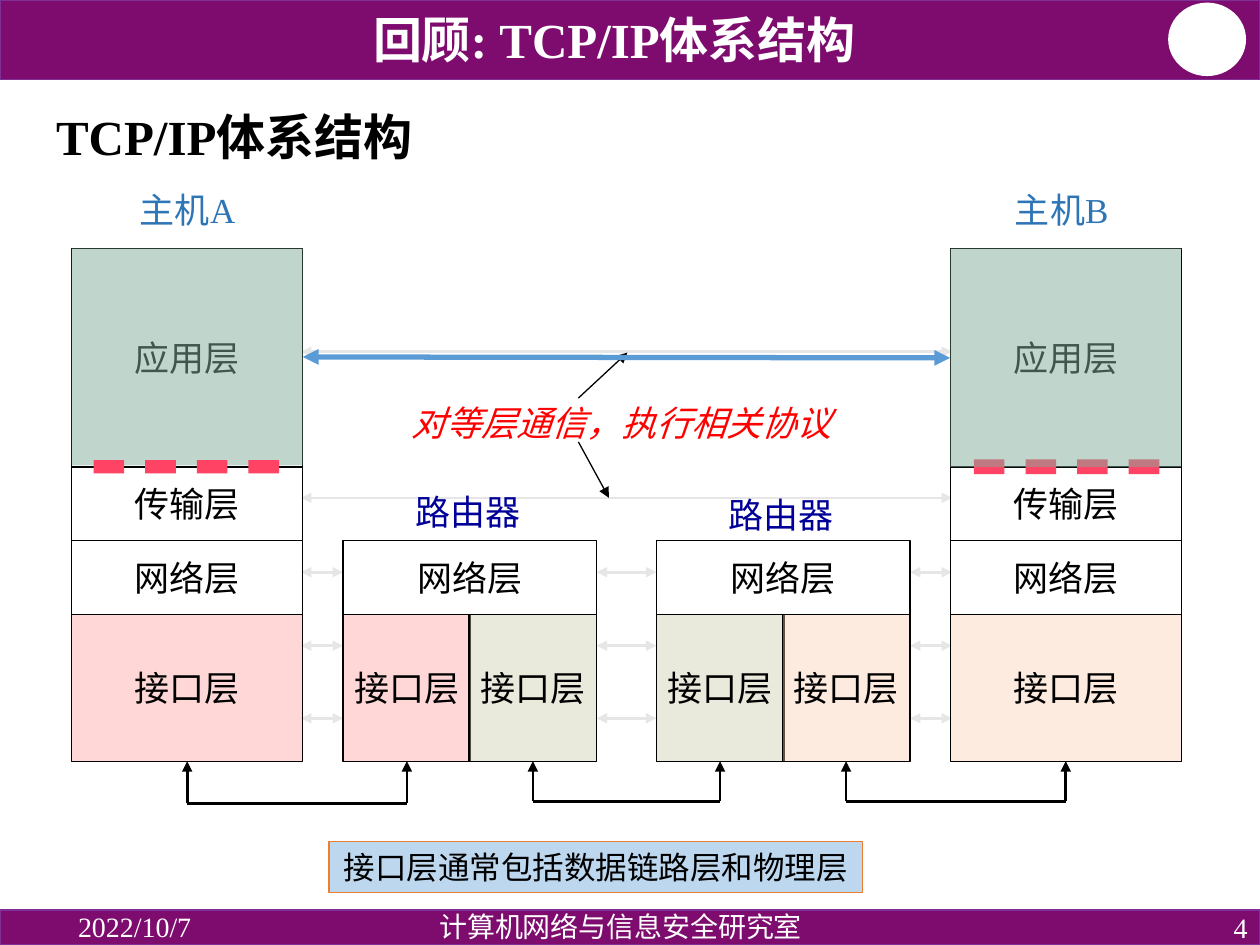
from dataclasses import dataclass
from typing import Any

from lxml import etree
from pptx import Presentation
from pptx.dml.color import RGBColor
from pptx.enum.shapes import MSO_CONNECTOR, MSO_SHAPE
from pptx.enum.text import MSO_ANCHOR, PP_ALIGN
from pptx.oxml.ns import qn
from pptx.util import Pt

RECTANGLE, ELLIPSE = MSO_SHAPE.RECTANGLE, MSO_SHAPE.OVAL
STRAIGHT = MSO_CONNECTOR.STRAIGHT
LEFT, CENTER, RIGHT = PP_ALIGN.LEFT, PP_ALIGN.CENTER, PP_ALIGN.RIGHT
TOP, MIDDLE = MSO_ANCHOR.TOP, MSO_ANCHOR.MIDDLE
SIDE_LEFT, SIDE_BOTTOM, SIDE_RIGHT = 1, 2, 3

COLORS = {
    "white": "FFFFFF", "black": "000000", "purple": "7E0C6E", "edge": "7F2F95",
    "red": "FF0000", "navy": "000099", "host": "2E75B6", "peer": "E7E6E6",
    "pink": "FD9D9A", "peach": "F9CDAD", "olive": "C8C8A9", "green": "83AF9B",
    "dash": "FE4365", "note": "BDD7EE", "orange": "ED7D31", "blue": "5B9BD5",
}


def rgb(name):
    return RGBColor.from_string(COLORS[name])


@dataclass
class Drawing:
    page: Any
    font: str = "Times New Roman"
    size: float = 20

    def set_text(self, box, text, color="black", size=None, font=None, align=CENTER,
                 anchor=MIDDLE, wrap=False, bold=False, italic=False, spacing=None):
        frame = box.text_frame
        frame.word_wrap = wrap
        frame.vertical_anchor = anchor
        para = frame.paragraphs[0]
        para.text = text
        para.alignment = align
        para.line_spacing = spacing
        para.font.name = font or self.font
        para.font.size = Pt(size or self.size)
        para.font.color.rgb = rgb(color)
        para.font.bold, para.font.italic = bold, italic

    def label(self, place, text, **style):
        box = self.page.shapes.add_textbox(*map(Pt, place))
        self.set_text(box, text, **style)

    def title(self, place, text, **style):
        box = self.page.shapes.title
        box.left, box.top, box.width, box.height = map(Pt, place)
        self.set_text(box, text, **style)
        self.page.shapes._spTree.append(box._element)  # in front of the banner

    def shape(self, place, fill, line=None, weight=0.75, opacity=100,
              kind=RECTANGLE, text=None, **style):
        box = self.page.shapes.add_shape(kind, *map(Pt, place))
        box.shadow.inherit = False
        box.fill.solid()
        box.fill.fore_color.rgb = rgb(fill)
        if opacity < 100:
            color = box._element.spPr.find(".//" + qn("a:srgbClr"))
            etree.SubElement(color, qn("a:alpha"), val=str(opacity * 1000))
        if line:
            box.line.color.rgb = rgb(line)
            box.line.width = Pt(weight)
        else:
            box.line.fill.background()
        if text:
            self.set_text(box, text, **style)
        return box

    def connector(self, start, end, color="black", weight=1.5, ends=()):
        line = self.page.shapes.add_connector(STRAIGHT, *map(Pt, start + end))
        line.line.color.rgb = rgb(color)
        line.line.width = Pt(weight)
        properties = line._element.spPr
        for name in ends:
            etree.SubElement(properties.find(qn("a:ln")), qn(f"a:{name}"), type="triangle")
        etree.SubElement(properties, qn("a:effectLst"))
        return line


TAIL = ("tailEnd",)
BOTH = ("headEnd", "tailEnd")

# Grid of the protocol stacks
HOST_X, HOST_WIDTH = (41, 543), 132
ROUTER_X, ROUTER_WIDTH, HALF_WIDTH = (196, 375), 145, 73
APP = (142, 125)
TRANSPORT = (267, 42)
NETWORK = (309, 42)
INTERFACE = (351, 84)


def layer(drawing, x, width, row, text, fill="white", opacity=100):
    top, height = row
    return drawing.shape((x, top, width, height), fill, "black", opacity=opacity, text=text)


def main():
    deck = Presentation()
    deck.slide_width, deck.slide_height = Pt(720), Pt(540)
    page = deck.slides.add_slide(deck.slide_layouts[5])
    drawing = Drawing(page)

    # Banner, footer and headings
    drawing.shape((0, 0, 720, 45.5), "purple", "edge", 1)
    drawing.shape((668, 2, 43.5, 41), "white", "white", 1, kind=ELLIPSE)
    drawing.shape((0, 520, 720, 20), "purple", "edge", 1)
    footer = {"color": "white", "size": 16, "wrap": True}
    drawing.label((37.5, 520, 162, 19), "2022/10/7", align=LEFT, **footer)
    drawing.label((558, 520, 162, 20), "4", align=RIGHT, **footer)
    drawing.label((193.5, 518.5, 322.5, 20), "计算机网络与信息安全研究室",
                  anchor=TOP, spacing=0.9, **footer)
    heading = {"size": 28, "bold": True, "wrap": True, "spacing": 0.9}
    drawing.title((179, 3, 344, 42.5), "回顾: TCP/IP体系结构", color="white", **heading)
    drawing.label((25, 48, 646.5, 63.5), "TCP/IP体系结构", align=LEFT, **heading)

    # Peer communication between layers
    for y in (201, 284.5):
        drawing.connector((172, y), (544, y), "peer", ends=BOTH)
    for left, right in ((172, 196), (341, 375), (520, 544)):
        for y in (327, 369, 410.5):
            drawing.connector((left, y), (right, y), "peer", ends=BOTH)

    # Captions and their pointers
    drawing.label((228, 226, 257, 31.5), "对等层通信，执行相关协议",
                  color="red", italic=True, align=LEFT, anchor=TOP)
    drawing.connector((330.5, 227.5), (358.5, 201.5), weight=0.75, ends=TAIL)
    drawing.connector((330.5, 252.5), (348, 284.5), weight=0.75, ends=TAIL)
    for x, y in ((230.5, 277), (409, 278.5)):
        drawing.label((x, y, 75, 31.5), "路由器", color="navy", align=LEFT, anchor=TOP)
    for x, name in zip((47.5, 547), "AB"):
        drawing.label((x, 104, 119.5, 31.5), f"主机{name}", color="host",
                      anchor=TOP, wrap=True)

    # Host stacks
    host_interfaces = []
    for x, fill in zip(HOST_X, ("pink", "peach")):
        layer(drawing, x, HOST_WIDTH, APP, "应用层")
        layer(drawing, x, HOST_WIDTH, TRANSPORT, "传输层")
        layer(drawing, x, HOST_WIDTH, NETWORK, "网络层")
        host_interfaces.append(
            layer(drawing, x, HOST_WIDTH, INTERFACE, "接口层", fill, 40))

    # Router stacks
    router_interfaces = []
    for x, fills in zip(ROUTER_X, (("pink", "olive"), ("olive", "peach"))):
        layer(drawing, x, ROUTER_WIDTH, NETWORK, "网络层")
        for half_x, fill in zip((x, x + ROUTER_WIDTH - HALF_WIDTH), fills):
            router_interfaces.append(
                layer(drawing, half_x, HALF_WIDTH, INTERFACE, "接口层", fill, 40))

    # Physical links below neighbouring interfaces
    interfaces = [host_interfaces[0], *router_interfaces, host_interfaces[1]]
    for pair, y in zip(zip(interfaces[::2], interfaces[1::2]), (459, 458, 458)):
        centers = [(box.left + box.width / 2) / Pt(1) for box in pair]
        drawing.connector((centers[0], y), (centers[1], y))
        for box, x in zip(pair, centers):
            arrow = drawing.connector((x, y), (x, sum(INTERFACE)), ends=TAIL)
            arrow.end_connect(box, SIDE_BOTTOM)

    # Application highlight, socket dashes and note
    highlights = [drawing.shape((HOST_X[0], APP[0], HOST_WIDTH, 124), "green", opacity=50)]
    for x, y, height in ((53.5, 263, 7.5), (556.5, 262.5, 8.5)):
        for index in range(4):
            drawing.shape((x + 29.5 * index, y, 17.5, height), "dash")
    drawing.shape((188, 481, 305, 29), "note", "orange",
                  text="接口层通常包括数据链路层和物理层", size=18, font="Calibri")
    highlights.append(
        drawing.shape((HOST_X[1], APP[0], HOST_WIDTH, APP[1]), "green", opacity=50))

    # Application to application
    arrow = drawing.connector((173, 204.5), (543, 204.5), "blue", 3, BOTH)
    arrow.begin_connect(highlights[0], SIDE_RIGHT)
    arrow.end_connect(highlights[1], SIDE_LEFT)

    deck.save("out.pptx")


if __name__ == "__main__":
    main()
